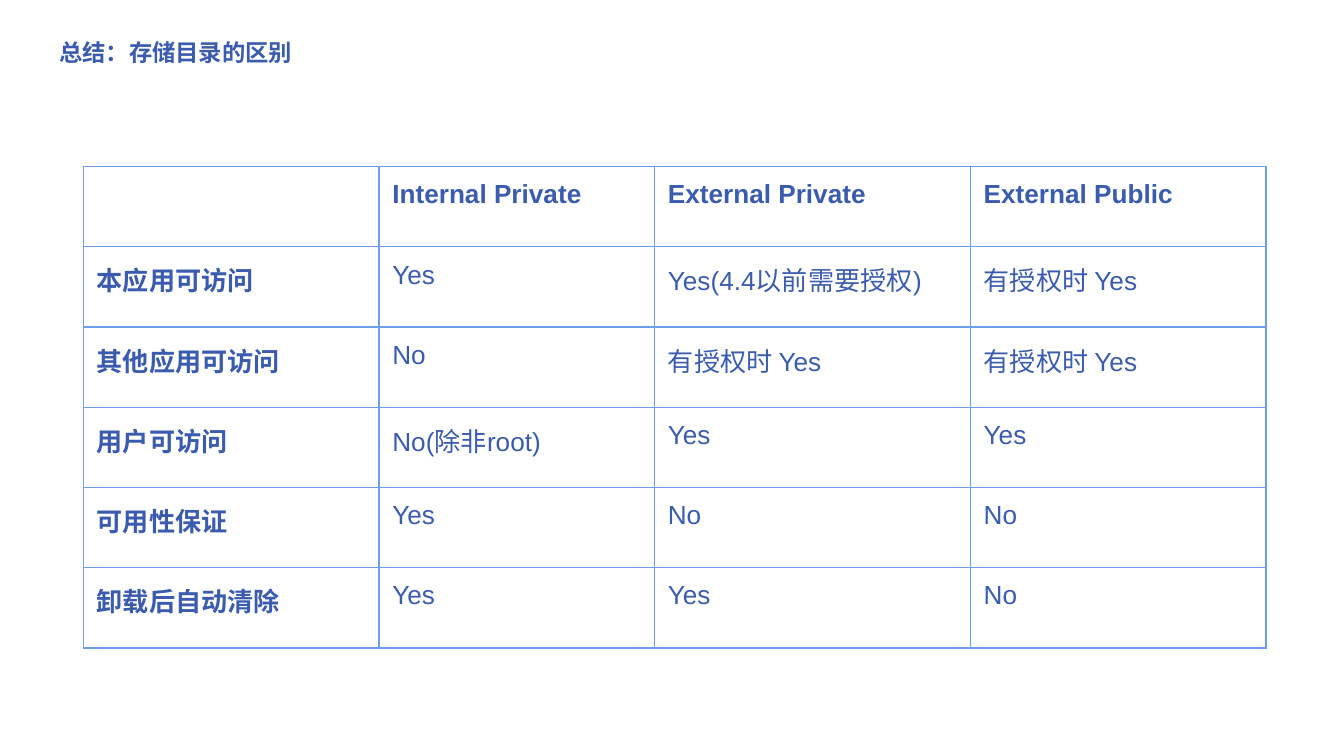
from lxml.etree import SubElement
from pptx import Presentation
from pptx.dml.color import RGBColor
from pptx.enum.text import MSO_ANCHOR, PP_ALIGN
from pptx.oxml.ns import qn
from pptx.util import Pt

TITLE = "总结：存储目录的区别"
ROWS = [
    ("", "Internal Private", "External Private", "External Public"),
    ("本应用可访问", "Yes", "Yes(4.4以前需要授权)", "有授权时 Yes"),
    ("其他应用可访问", "No", "有授权时 Yes", "有授权时 Yes"),
    ("用户可访问", "No(除非root)", "Yes", "Yes"),
    ("可用性保证", "Yes", "No", "No"),
    ("卸载后自动清除", "Yes", "Yes", "No"),
]
WIDTHS = [158.4, 147.6, 169.2, 158.4]
ROW_H = 43
PAD = 7.2
INK, LINE = "3A5BAE", "6D9EEB"


def style(par, size, bold):
    par.alignment = PP_ALIGN.LEFT
    font = par.font
    font.name = "Arial"
    font.size = Pt(size)
    font.bold = bold
    font.color.rgb = RGBColor.from_string(INK)


def pad(box):
    """Give a cell or text frame equal margins on all sides."""
    box.margin_left = box.margin_right = Pt(PAD)
    box.margin_top = box.margin_bottom = Pt(PAD)
    box.vertical_anchor = MSO_ANCHOR.TOP


def border(cell):
    props = cell._tc.get_or_add_tcPr()
    for i, side in enumerate(("lnL", "lnR", "lnT", "lnB")):
        line = props.makeelement(qn("a:" + side), {"w": str(Pt(0.75))})
        fill = SubElement(line, qn("a:solidFill"))
        SubElement(fill, qn("a:srgbClr"), val=LINE)
        props.insert(i, line)


deck = Presentation()
deck.slide_width, deck.slide_height = Pt(720), Pt(405)
slide = deck.slides.add_slide(deck.slide_layouts[5])

title = slide.shapes.title
title.left, title.top = Pt(24.5), Pt(13)
title.width, title.height = Pt(671), Pt(45.4)
frame = title.text_frame
frame.text = TITLE
pad(frame)
style(frame.paragraphs[0], 12.5, True)

table = slide.shapes.add_table(
    len(ROWS), len(WIDTHS), Pt(44.6), Pt(89.3),
    Pt(sum(WIDTHS)), Pt(ROW_H * len(ROWS))).table
table.horz_banding = False
for col, width in zip(table.columns, WIDTHS):
    col.width = Pt(width)
for r, row in enumerate(ROWS):
    table.rows[r].height = Pt(ROW_H)
    for c, text in enumerate(row):
        cell = table.cell(r, c)
        cell.text = text
        pad(cell)
        cell.fill.background()
        border(cell)
        style(cell.text_frame.paragraphs[0], 14, r == 0 or c == 0)

deck.save("out.pptx")
